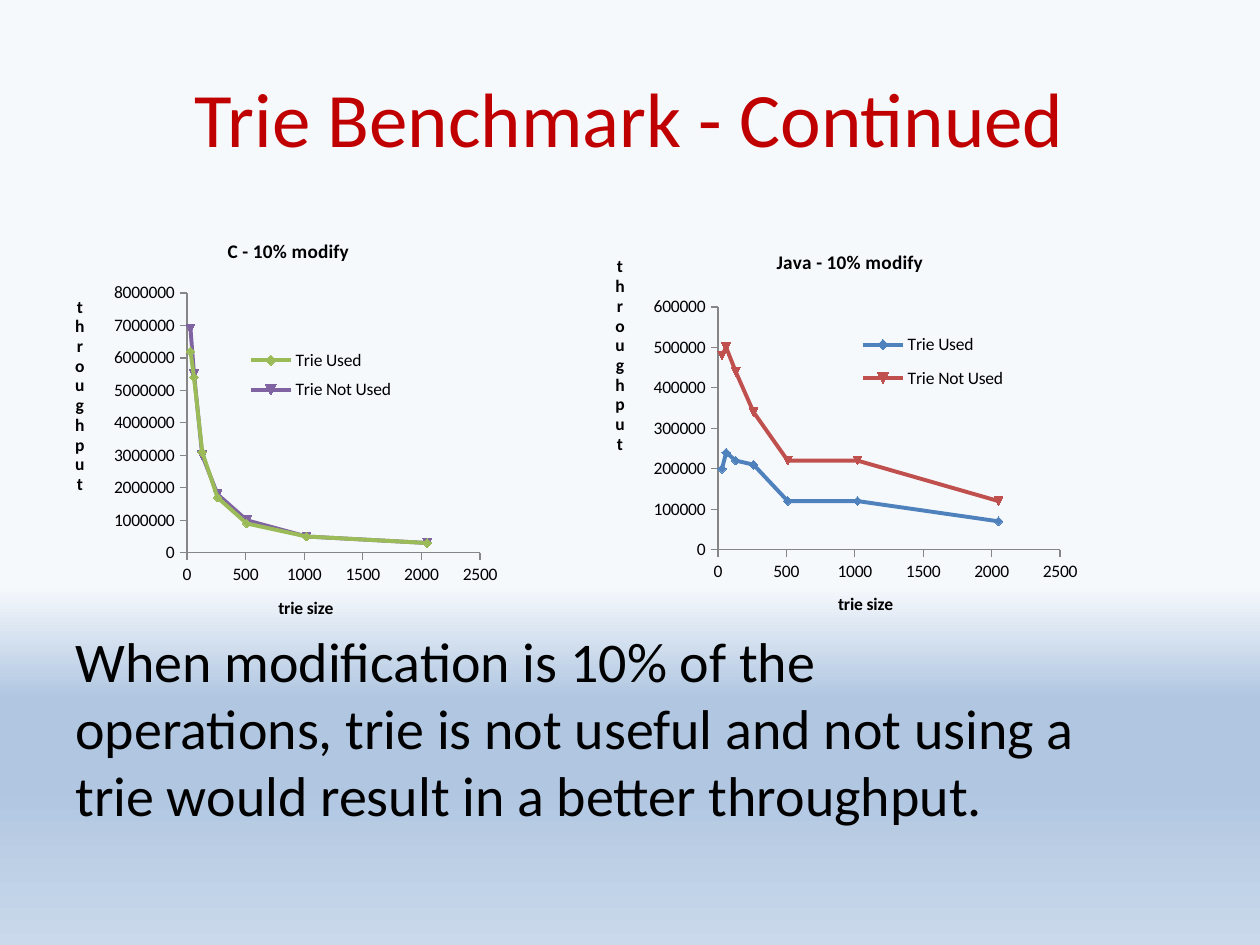
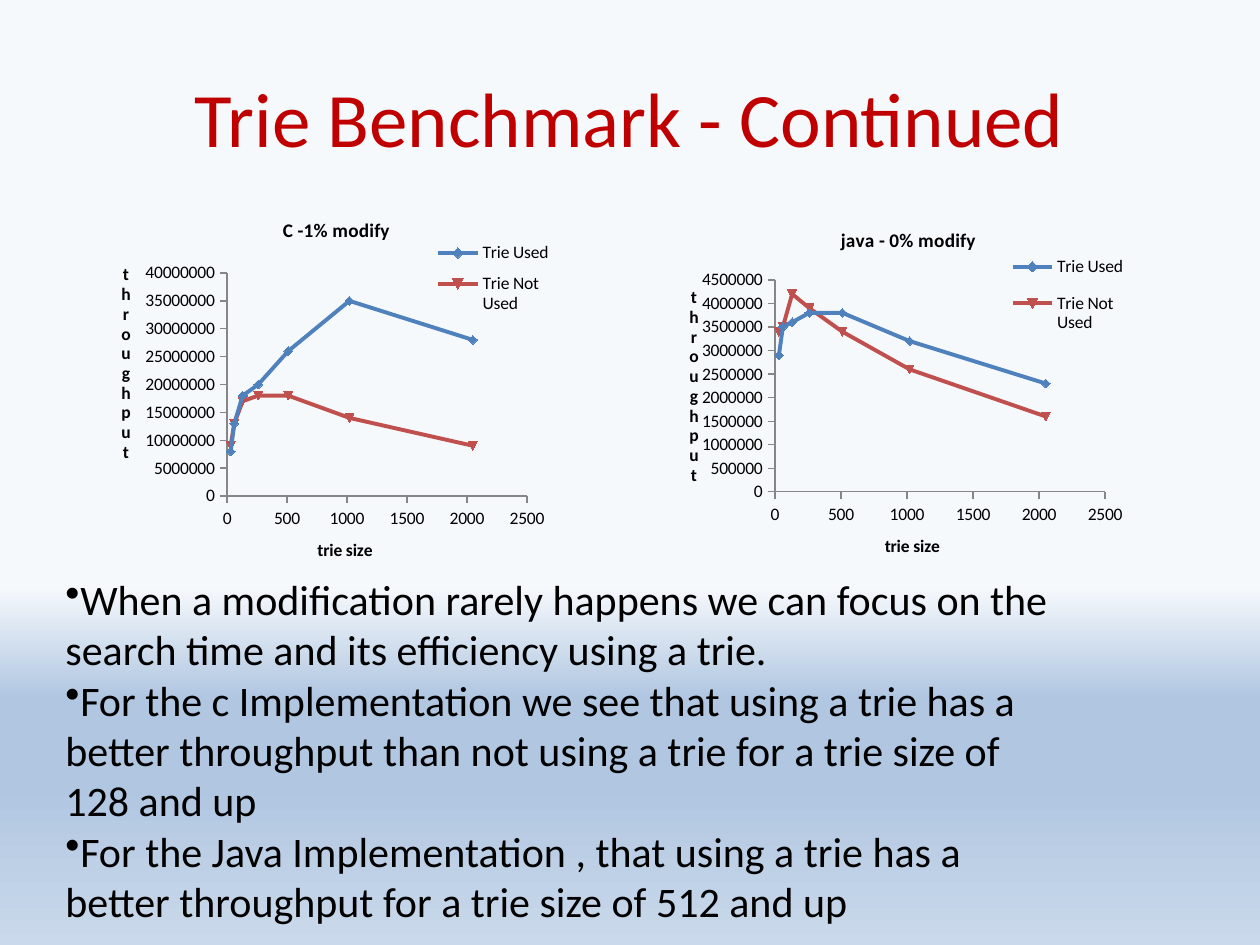
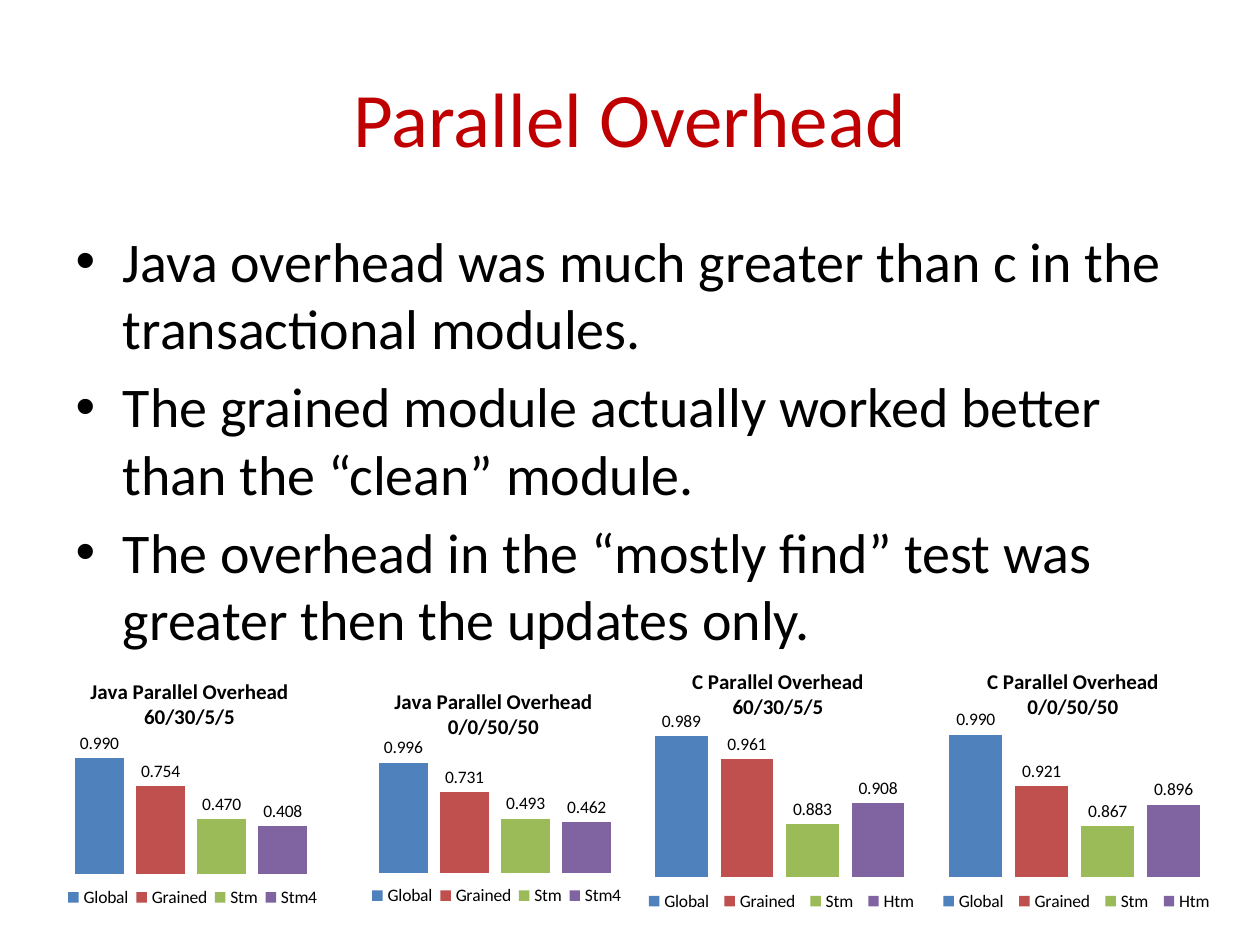
from pptx import Presentation
from pptx.chart.data import CategoryChartData, XyChartData
from pptx.dml.color import RGBColor
from pptx.enum.chart import XL_CHART_TYPE as CT, XL_LABEL_POSITION as LABEL
from pptx.enum.chart import XL_LEGEND_POSITION as LEGEND, XL_TICK_MARK as TICK
from pptx.enum.text import MSO_AUTO_SIZE as AUTO, PP_ALIGN
from pptx.oxml import parse_xml
from pptx.oxml.ns import nsdecls, qn
from pptx.util import Emu, Pt

EMU_PER_PX = 914400 / 126
FONT = "Calibri"
COLORS = {
    "title": "C00000", "text": "000000", "axis": "868686",
    "blue": "4F81BD", "red": "C0504D", "green": "9BBB59", "purple": "8064A2",
}
BACKDROP = [(62, "F6F9FC"), (74, "B0C6E1"), (83, "B0C6E1"), (100, "CAD9EB")]
TRIE_SIZES = [30, 60, 130, 260, 510, 1020, 2050]
TITLE_BOX = (63, 38, 1134, 157)
BAR_PLOT = (0.02, 0.28, 0.97, 0.55)
BAR_LEGEND = (0.09, 0.87, 0.84, 0.1)


def emu(box):
    """Turn px lengths into EMU."""
    return [Emu(round(v * EMU_PER_PX)) for v in box]


def rgb(name):
    """Look up a colour of the deck."""
    return RGBColor.from_string(COLORS[name])


def style(font, size, color="text", bold=False):
    """Apply the deck's typeface to a font."""
    font.name, font.size, font.bold = FONT, Pt(size), bold
    font.color.rgb = rgb(color)


def add_slide(prs, title, layout=5):
    """Add a slide with the shared red title."""
    slide = prs.slides.add_slide(prs.slide_layouts[layout])
    sp = slide.shapes.title
    sp.left, sp.top, sp.width, sp.height = emu(TITLE_BOX)
    sp.text_frame.text = title
    p = sp.text_frame.paragraphs[0]
    p.alignment = PP_ALIGN.CENTER
    style(p.font, 44, "title")
    return slide


def paint_backdrop(slide):
    """Give the slide its light to blue gradient."""
    fill = slide.background.fill
    fill.gradient()
    fill.gradient_angle = 270
    stops = slide._element.xpath(".//a:gsLst")[0]
    for stop in list(stops):
        stops.remove(stop)
    for pos, color in BACKDROP:
        stops.append(parse_xml(
            f'<a:gs {nsdecls("a")} pos="{pos * 1000}"><a:srgbClr val="{color}"/></a:gs>'))


def write_lines(tf, lines, size, bullet=False):
    """Fill a text frame with one paragraph per line."""
    tf.word_wrap = True
    tf.auto_size = AUTO.NONE
    tf.text = "\n".join(lines)
    for p in tf.paragraphs:
        if bullet:
            p._p.get_or_add_pPr().append(parse_xml(f'<a:buChar {nsdecls("a")} char="•"/>'))
        style(p.font, size)


def add_note(slide, box, lines, size, bullet=False):
    """Add a text box below the charts."""
    sp = slide.shapes.add_textbox(*emu(box))
    write_lines(sp.text_frame, lines, size, bullet)


def set_layout(parent, index, rect, inner=False):
    """Place a chart part by fractions of the chart box."""
    for old in parent.findall(qn("c:layout")):
        parent.remove(old)
    target = '<c:layoutTarget val="inner"/>' if inner else ""
    modes = "".join(f'<c:{k}Mode val="edge"/>' for k, _ in zip("xy", rect))
    sizes = "".join(f'<c:{k} val="{v:.3f}"/>' for k, v in zip("xywh", rect))
    parent.insert(index, parse_xml(
        f'<c:layout {nsdecls("c")}><c:manualLayout>{target}{modes}{sizes}'
        "</c:manualLayout></c:layout>"))


def clear_fill():
    """Make the properties of an area without fill and line."""
    return parse_xml(f'<c:spPr {nsdecls("c", "a")}><a:noFill/>'
                     "<a:ln><a:noFill/></a:ln></c:spPr>")


def add_chart(slide, kind, box, data, title, title_size, plot, legend):
    """Add a transparent chart with title, legend and placed plot."""
    chart = slide.shapes.add_chart(kind, *emu(box), data).chart
    style(chart.font, 10)
    chart.has_title = True
    tf = chart.chart_title.text_frame
    tf.text = title
    for p in tf.paragraphs:
        style(p.font, title_size, bold=True)
    chart.has_legend = True
    chart.legend.position = LEGEND.RIGHT
    chart.legend.include_in_layout = False
    set_layout(chart.legend._element, 1, legend)
    space = chart._chartSpace
    area = space.xpath("c:chart/c:plotArea")[0]
    set_layout(area, 0, plot, inner=True)
    area.append(clear_fill())
    space.find(qn("c:chart")).addnext(clear_fill())
    chart.plots[0].vary_by_categories = False
    for axis in (chart.category_axis, chart.value_axis):
        axis.has_major_gridlines = False
    return chart


def format_axis(axis, title, top, step):
    """Scale a scatter axis from zero and name it."""
    axis.minimum_scale, axis.maximum_scale, axis.major_unit = 0, top, step
    axis.major_tick_mark, axis.minor_tick_mark = TICK.OUTSIDE, TICK.NONE
    axis.format.line.color.rgb = rgb("axis")
    tf = axis.axis_title.text_frame
    tf.text = title
    style(tf.paragraphs[0].font, 10, bold=True)
    return tf


def add_trie_chart(slide, box, title, used, unused, top, step, plot, legend, label,
                   colors=("blue", "red")):
    """Plot throughput against trie size; plot, legend and label are px in the box."""
    width, height = box[2:]

    def share(rect):
        return [v / d for v, d in zip(rect, (width, height) * 2)]

    data = XyChartData()
    for name, values in (("Trie Used", used), ("Trie Not Used", unused)):
        series = data.add_series(name)
        for x, y in zip(TRIE_SIZES, values):
            series.add_data_point(x, y)
    chart = add_chart(slide, CT.XY_SCATTER_LINES, box, data, title, 11,
                      share(plot), share(legend))
    for series, color in zip(chart.plots[0].series, colors):
        series.format.line.width = Pt(2.25)
        series.format.line.color.rgb = rgb(color)
    format_axis(chart.category_axis, "trie size", 2500, 500)
    tf = format_axis(chart.value_axis, "throughput", top, step)
    body = tf._txBody.bodyPr
    body.set("rot", "0")
    body.set("vert", "wordArtVert")
    set_layout(chart.value_axis.axis_title._element, 1, share(label))


def add_overhead_chart(slide, box, title, names, values, low, high):
    """Add one column per module with its value on top."""
    data = CategoryChartData(number_format="0.000")
    data.categories = ["1"]
    for name, value in zip(names, values):
        data.add_series(name, [value])
    chart = add_chart(slide, CT.COLUMN_CLUSTERED, box, data, title, 12,
                      BAR_PLOT, BAR_LEGEND)
    chart.legend.position = LEGEND.TOP
    chart.category_axis.visible = chart.value_axis.visible = False
    chart.value_axis.minimum_scale, chart.value_axis.maximum_scale = low, high
    plot = chart.plots[0]
    plot.gap_width, plot.overlap = 150, -25
    plot.has_data_labels = True
    labels = plot.data_labels
    labels.show_value = True
    labels.number_format, labels.number_format_is_linked = "0.000", False
    labels.position = LABEL.OUTSIDE_END
    for series, color in zip(plot.series, ("blue", "red", "green", "purple")):
        series.format.fill.solid()
        series.format.fill.fore_color.rgb = rgb(color)


def build_frequent_changes(prs):
    """Build the slide on 10% modification."""
    slide = add_slide(prs, "Trie Benchmark - Continued")
    paint_backdrop(slide)
    add_trie_chart(
        slide, (63, 220, 451, 410), "C - 10% modify",
        [6200000, 5400000, 3100000, 1700000, 900000, 500000, 300000],
        [6900000, 5500000, 3000000, 1800000, 1000000, 500000, 300000],
        8000000, 1000000, plot=(124, 73, 293, 260), legend=(179, 121, 158, 68),
        label=(9, 72), colors=("green", "purple"))
    add_trie_chart(
        slide, (598, 231, 504, 402), "Java - 10% modify",
        [200000, 240000, 220000, 210000, 120000, 120000, 70000],
        [480000, 500000, 440000, 340000, 220000, 220000, 120000],
        600000, 100000, plot=(120, 76, 342, 243), legend=(258, 90, 154, 81),
        label=(14, 21))
    add_note(slide, (63, 620, 1029, 217), [
        "When modification is 10% of the operations, trie is not useful and not using "
        "a trie would result in a better throughput."], 32)


def build_rare_changes(prs):
    """Build the slide on rare modification."""
    slide = add_slide(prs, "Trie Benchmark - Continued")
    paint_backdrop(slide)
    add_note(slide, (53, 567, 1029, 369), [
        "When a modification rarely happens we can focus on the search time and its "
        "efficiency using a trie.",
        "For the c Implementation we see that using a trie has a better throughput "
        "than not using a trie for a trie size of 128 and up",
        "For the Java Implementation , that using a trie has a better throughput "
        "for a trie size of 512 and up"], 24, bullet=True)
    add_trie_chart(
        slide, (116, 199, 441, 378), "C -1% modify",
        [8000000, 13000000, 18000000, 20000000, 26000000, 35000000, 28000000],
        [9000000, 13000000, 17000000, 18000000, 18000000, 14000000, 9000000],
        40000000, 5000000, plot=(111, 74, 300, 223), legend=(315, 33, 125, 93),
        label=(2, 61))
    add_trie_chart(
        slide, (683, 210, 451, 357), "java - 0% modify",
        [2900000, 3500000, 3600000, 3800000, 3800000, 3200000, 2300000],
        [3400000, 3500000, 4200000, 3900000, 3400000, 2600000, 1600000],
        4500000, 500000, plot=(92, 70, 330, 212), legend=(333, 30, 114, 110),
        label=(3, 73))


def build_overhead(prs):
    """Build the slide on parallel overhead."""
    slide = add_slide(prs, "Parallel Overhead", layout=1)
    body = slide.placeholders[1]
    body.left, body.top, body.width, body.height = emu((63, 220, 1134, 441))
    write_lines(body.text_frame, [
        "Java overhead was much greater than c in the transactional modules.",
        "The grained module actually worked better than the “clean” module.",
        "The overhead in the “mostly find” test was greater then the updates only."], 32)
    java = ["Global", "Grained", "Stm", "Stm4"]
    c = ["Global", "Grained", "Stm", "Htm"]
    for box, title, names, values, low, high in (
            ((32, 662, 315, 256), "Java Parallel Overhead\n60/30/5/5", java,
             [0.99, 0.754, 0.47, 0.408], 0, 1.2),
            ((336, 672, 315, 243), "Java Parallel Overhead\n0/0/50/50", java,
             [0.996, 0.731, 0.493, 0.462], 0, 1.2),
            ((609, 651, 338, 272), "C Parallel Overhead\n60/30/5/5", c,
             [0.989, 0.961, 0.883, 0.908], 0.82, 1),
            ((903, 651, 340, 272), "C Parallel Overhead\n0/0/50/50", c,
             [0.99, 0.921, 0.867, 0.896], 0.8, 1)):
        add_overhead_chart(slide, box, title, names, values, low, high)


def main():
    """Build and save the deck."""
    prs = Presentation()
    prs.slide_width, prs.slide_height = emu((1260, 945))
    build_frequent_changes(prs)
    build_rare_changes(prs)
    build_overhead(prs)
    prs.save("out.pptx")


if __name__ == "__main__":
    main()
